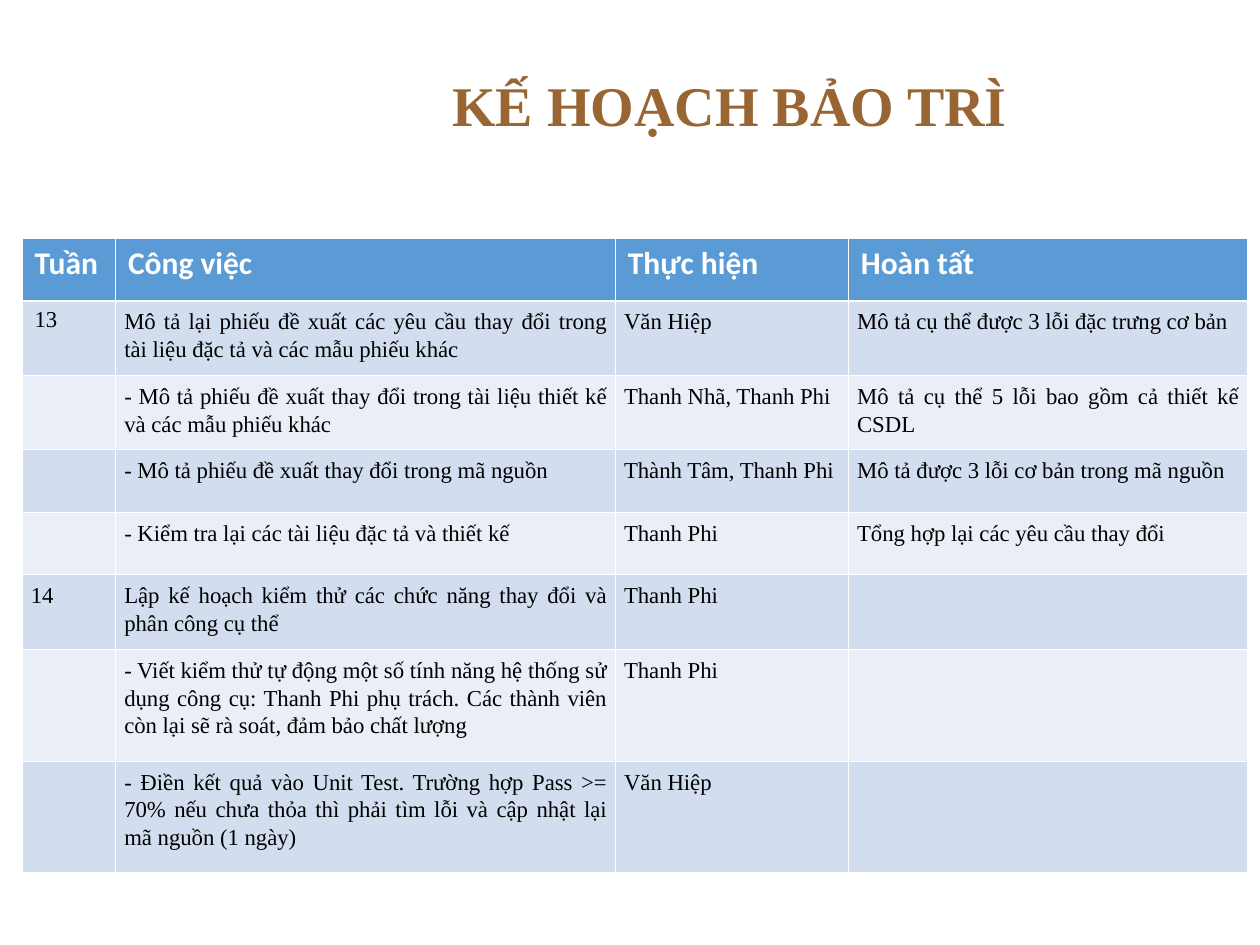
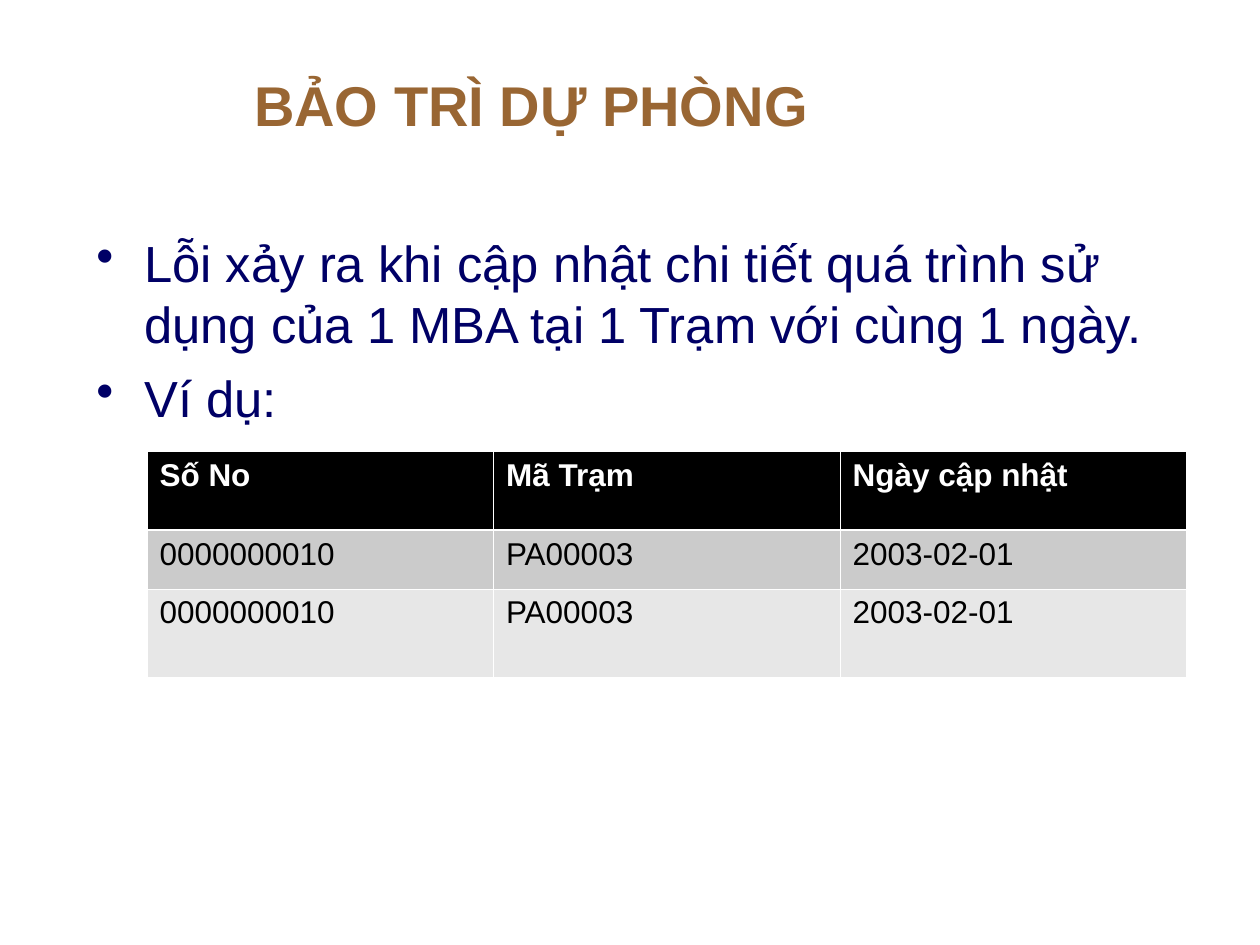
from dataclasses import dataclass

from lxml.etree import SubElement
from pptx import Presentation
from pptx.dml.color import RGBColor
from pptx.enum.text import MSO_ANCHOR, MSO_AUTO_SIZE, PP_ALIGN
from pptx.oxml.ns import qn
from pptx.util import Inches, Pt

# Shared look: a grid of 120 columns by 90 rows covers the slide
COLORS = {
    "title": "996633", "bullet": "000066", "rule": "FFFFFF",
    "header_text": "FFFFFF", "body_text": "000000",
    "plan_header": "5B9BD5", "plan_odd": "D2DEEF", "plan_even": "EAEFF7",
    "update_header": "000000", "update_odd": "CBCBCB", "update_even": "E7E7E7",
}
SLIDE_WIDTH, SLIDE_HEIGHT = Inches(10), Inches(7.5)
GRID = SLIDE_WIDTH / 120
TITLE_BOX = (23, 3.75, 93, 12.4)
THIN_RULE, HEADER_RULE = 0.45, 1.47


@dataclass
class TextStyle:
    font: str
    size: float
    color: str
    bold: bool = False
    align: PP_ALIGN = PP_ALIGN.LEFT
    line_spacing: float = 1.0
    side_margin: float = 0.1


@dataclass
class TableLook:
    palette: str
    header: TextStyle
    body: TextStyle


PLAN_LOOK = TableLook(
    "plan",
    TextStyle("Calibri", 18, "header_text", bold=True),
    TextStyle("Times New Roman", 13, "body_text", align=PP_ALIGN.JUSTIFY,
              line_spacing=1.11, side_margin=0.07),
)
WEEK_STYLE = TextStyle("Times New Roman", 13, "body_text")
UPDATE_LOOK = TableLook(
    "update",
    TextStyle("Arial", 18, "header_text", bold=True),
    TextStyle("Arial", 18, "body_text"),
)

PLAN_ROWS = [
    ("Tuần", "Công việc", "Thực hiện", "Hoàn tất"),
    ("13", "Mô tả lại phiếu đề xuất các yêu cầu thay đổi trong tài liệu đặc tả "
     "và các mẫu phiếu khác", "Văn Hiệp",
     "Mô tả cụ thể được 3 lỗi đặc trưng cơ bản"),
    ("", "- Mô tả phiếu đề xuất thay đổi trong tài liệu thiết kế và các mẫu "
     "phiếu khác", "Thanh Nhã, Thanh Phi",
     "Mô tả cụ thể 5 lỗi bao gồm cả thiết kế CSDL"),
    ("", "- Mô tả phiếu đề xuất thay đổi trong mã nguồn",
     "Thành Tâm, Thanh Phi", "Mô tả được 3 lỗi cơ bản trong mã nguồn"),
    ("", "- Kiểm tra lại các tài liệu đặc tả và thiết kế", "Thanh Phi",
     "Tổng hợp lại các yêu cầu thay đổi"),
    ("14", "Lập kế hoạch kiểm thử các chức năng thay đổi và phân công cụ thể",
     "Thanh Phi", ""),
    ("", "- Viết kiểm thử tự động một số tính năng hệ thống sử dụng công cụ: "
     "Thanh Phi phụ trách. Các thành viên còn lại sẽ rà soát, đảm bảo chất "
     "lượng", "Thanh Phi", ""),
    ("", "- Điền kết quả vào Unit Test. Trường hợp Pass >= 70% nếu chưa thỏa "
     "thì phải tìm lỗi và cập nhật lại mã nguồn (1 ngày)", "Văn Hiệp", ""),
]
DUPLICATE_UPDATE = ("0000000010", "PA00003", "2003-02-01")
UPDATE_ROWS = [("Số No", "Mã Trạm", "Ngày cập nhật")] + [DUPLICATE_UPDATE] * 2
ERROR_POINTS = [
    "Lỗi xảy ra khi cập nhật chi tiết quá trình sử dụng của 1 MBA tại 1 Trạm "
    "với cùng 1 ngày.",
    "Ví dụ:",
]


def units(*counts):
    """Turn grid units into slide lengths."""
    return [round(count * GRID) for count in counts]


def style_paragraph(paragraph, style):
    paragraph.alignment = style.align
    paragraph.line_spacing = style.line_spacing
    font = paragraph.font
    font.name, font.size, font.bold = style.font, Pt(style.size), style.bold
    font.color.rgb = RGBColor.from_string(COLORS[style.color])


def add_titled_slide(deck, text, font, align):
    slide = deck.slides.add_slide(deck.slide_layouts[5])
    title = slide.shapes.title
    title.left, title.top, title.width, title.height = units(*TITLE_BOX)
    frame = title.text_frame
    frame.text = text
    frame.word_wrap = True
    frame.auto_size = MSO_AUTO_SIZE.NONE
    frame.vertical_anchor = MSO_ANCHOR.MIDDLE
    style_paragraph(frame.paragraphs[0],
                    TextStyle(font, 32, "title", bold=True, align=align))
    return slide


def add_bullets(slide, box, points):
    frame = slide.shapes.add_textbox(*units(*box)).text_frame
    frame.word_wrap = True
    frame.text = "\n".join(points)
    style = TextStyle("Arial", 29, "bullet")
    for index, paragraph in enumerate(frame.paragraphs):
        if index:
            paragraph.space_before = Pt(7.3)
        properties = paragraph._p.get_or_add_pPr()
        properties.set("marL", str(Inches(0.38)))
        properties.set("indent", str(-Inches(0.38)))
        SubElement(properties, qn("a:buChar"), char="•")
        style_paragraph(paragraph, style)


def add_cell_rules(cell, top, bottom):
    properties = cell._tc.get_or_add_tcPr()
    widths = {"L": THIN_RULE, "R": THIN_RULE, "T": top, "B": bottom}
    for side, width in widths.items():
        rule = SubElement(properties, qn(f"a:ln{side}"), w=str(Pt(width)))
        fill = SubElement(rule, qn("a:solidFill"))
        SubElement(fill, qn("a:srgbClr"), val=COLORS["rule"])


def fill_cell(cell, text, style, color):
    cell.fill.solid()
    cell.fill.fore_color.rgb = RGBColor.from_string(COLORS[color])
    cell.margin_left = cell.margin_right = Inches(style.side_margin)
    cell.text = text
    style_paragraph(cell.text_frame.paragraphs[0], style)


def add_banded_table(slide, corner, columns, heights, rows, look):
    box = units(*corner, sum(columns), sum(heights))
    table = slide.shapes.add_table(len(rows), len(columns), *box).table
    table.first_row = table.horz_banding = False
    for column, width in zip(table.columns, units(*columns)):
        column.width = width
    for row, height in zip(table.rows, units(*heights)):
        row.height = height
    for r, texts in enumerate(rows):
        band = "header" if r == 0 else "odd" if r % 2 else "even"
        style = look.body if r else look.header
        for c, text in enumerate(texts):
            cell = table.cell(r, c)
            add_cell_rules(cell, HEADER_RULE if r == 1 else THIN_RULE,
                           HEADER_RULE if r == 0 else THIN_RULE)
            fill_cell(cell, text, style, f"{look.palette}_{band}")
    return table


def add_plan_slide(deck):
    slide = add_titled_slide(deck, "KẾ HOẠCH BẢO TRÌ", "Times New Roman",
                             PP_ALIGN.CENTER)
    plan = add_banded_table(
        slide, (2.1, 22.7), (8.9, 47.6, 22.2, 38),
        (5.95, 7.1, 7.1, 5.95, 5.95, 7.1, 10.65, 10.6), PLAN_ROWS, PLAN_LOOK)
    # The first week keeps the header's plain alignment
    fill_cell(plan.cell(1, 0), PLAN_ROWS[1][0], WEEK_STYLE, "plan_odd")


def add_prevention_slide(deck):
    slide = add_titled_slide(deck, "BẢO TRÌ DỰ PHÒNG", "Arial", PP_ALIGN.LEFT)
    add_bullets(slide, (8, 21.5, 108, 21.5), ERROR_POINTS)
    add_banded_table(slide, (14, 43), (33,) * 3, (7.5, 5.6, 8.4),
                     UPDATE_ROWS, UPDATE_LOOK)


def main():
    deck = Presentation()
    deck.slide_width, deck.slide_height = SLIDE_WIDTH, SLIDE_HEIGHT
    add_plan_slide(deck)
    add_prevention_slide(deck)
    deck.save("out.pptx")


if __name__ == "__main__":
    main()
